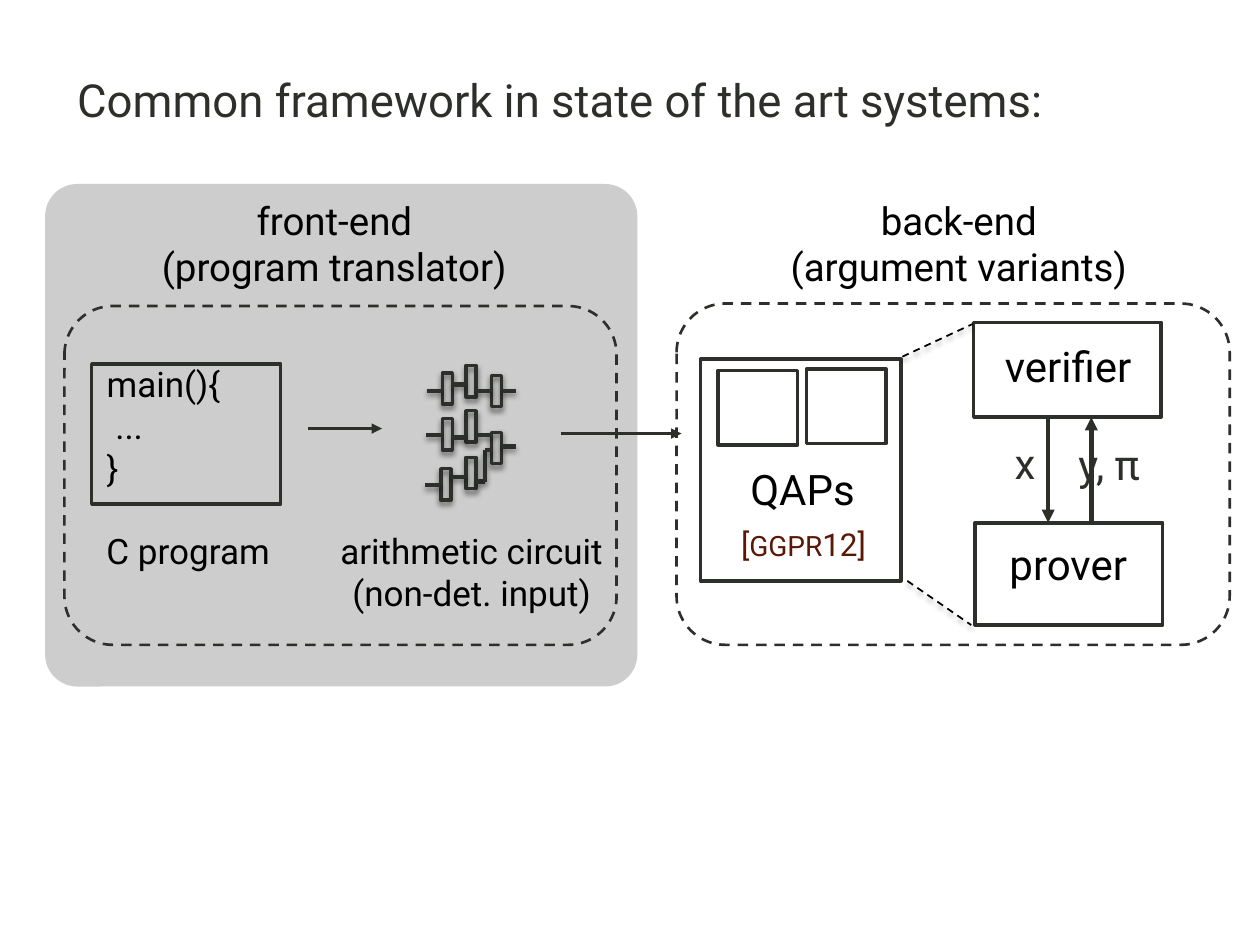
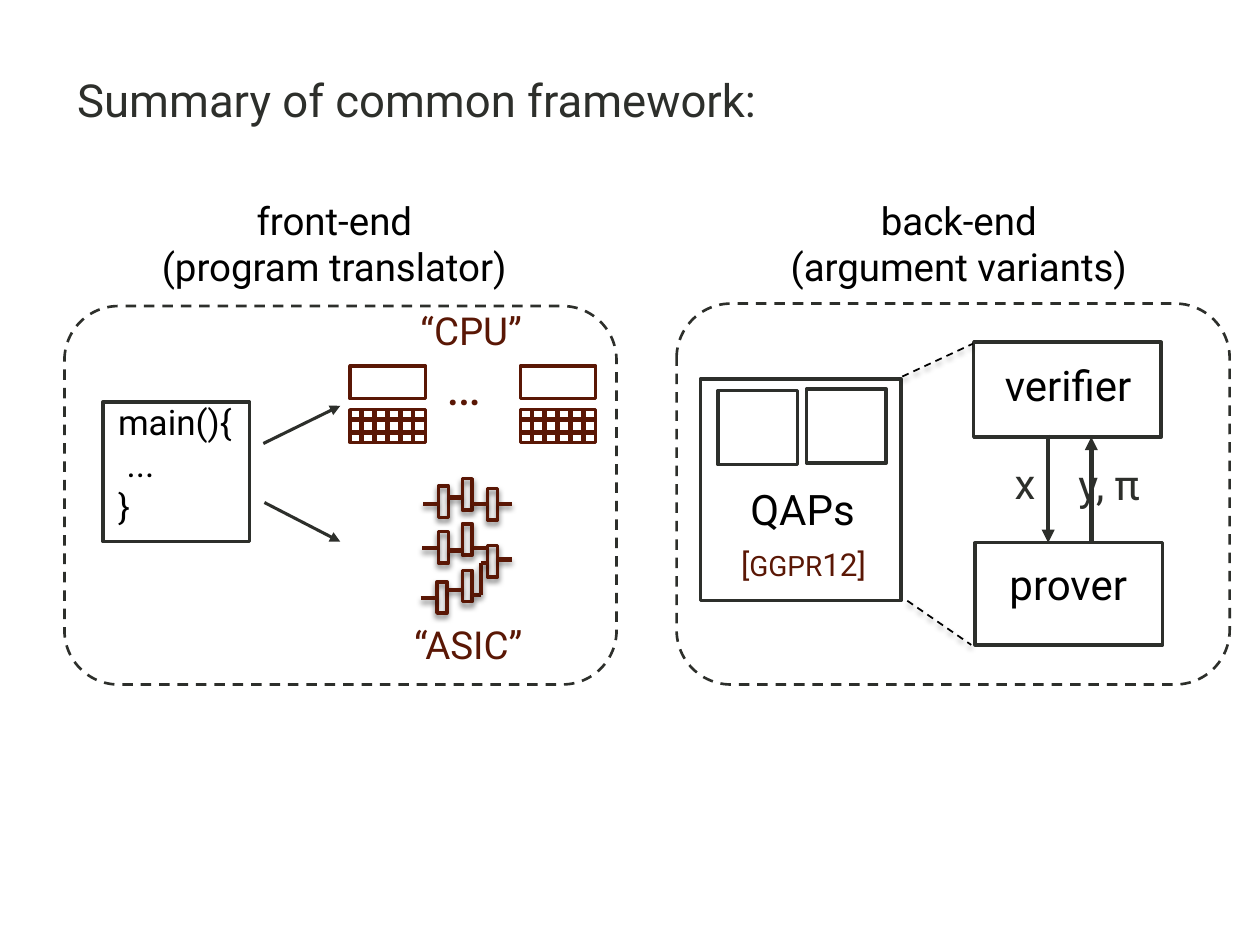
from dataclasses import dataclass

from lxml.etree import SubElement
from pptx import Presentation
from pptx.dml.color import RGBColor
from pptx.enum.dml import MSO_LINE
from pptx.enum.shapes import MSO_CONNECTOR, MSO_SHAPE
from pptx.enum.text import MSO_ANCHOR, MSO_AUTO_SIZE, PP_ALIGN
from pptx.oxml.ns import qn
from pptx.util import Cm, Pt

COLORS = {"ink": "2D2F2B", "black": "000000", "accent": "5A1705"}
FONT = "Roboto"
TITLE_ONLY = 5


@dataclass(frozen=True)
class Box:
    left: float
    top: float
    width: float
    height: float
    color: str = "ink"
    weight: float = 2
    radius: float = 0
    dashed: bool = False
    shadow: int = 0


@dataclass(frozen=True)
class Line:
    x1: float
    y1: float
    x2: float
    y2: float
    color: str = "ink"
    weight: float = 2.5
    dashed: bool = False
    arrow: bool = False
    shadow: int = 0


@dataclass(frozen=True)
class Label:
    text: str
    left: float
    top: float
    width: float
    height: float
    size: float = 24
    color: str = "black"
    align: PP_ALIGN = PP_ALIGN.CENTER


GATES = [(0.36, 0.15), (0.36, 1.07), (0.33, 2.08), (0.84, 0), (0.84, 0.91),
         (0.84, 1.85), (1.35, 0.2), (1.35, 1.35)]
WIRES = [(0.05, 0.51, 0.36, 0.51), (0.03, 1.4, 0.33, 1.4), (0, 2.41, 0.33, 2.41),
         (0.56, 0.38, 0.84, 0.38), (0.56, 1.45, 0.84, 1.45), (0.53, 2.24, 0.84, 2.24),
         (1.04, 0.51, 1.35, 0.51), (1.07, 1.4, 1.35, 1.4), (1.04, 2.34, 1.22, 2.34),
         (1.22, 1.7, 1.22, 2.34), (1.22, 1.7, 1.35, 1.7),
         (1.55, 0.51, 1.85, 0.51), (1.55, 1.63, 1.85, 1.63)]


def rgb(color: str) -> RGBColor:
    return RGBColor.from_string(COLORS[color])


def set_shadow(shape, opacity: int) -> None:
    properties = shape._element.spPr
    effects = properties.find(qn("a:effectLst"))
    if effects is None:
        effects = SubElement(properties, qn("a:effectLst"))
    if opacity:
        outer = SubElement(effects, qn("a:outerShdw"), blurRad=str(Pt(3)),
                           dist=str(Pt(2)), dir="5400000", rotWithShape="0")
        tint = SubElement(outer, qn("a:srgbClr"), val=COLORS["black"])
        SubElement(tint, qn("a:alpha"), val=str(opacity * 1000))


def set_line(shape, style) -> None:
    shape.line.color.rgb = rgb(style.color)
    shape.line.width = Pt(style.weight)
    if style.dashed:
        shape.line.dash_style = MSO_LINE.DASH


def draw_box(shapes, box: Box) -> None:
    preset = MSO_SHAPE.ROUNDED_RECTANGLE if box.radius else MSO_SHAPE.RECTANGLE
    shape = shapes.add_shape(preset, Cm(box.left), Cm(box.top), Cm(box.width), Cm(box.height))
    if box.radius:
        shape.adjustments[0] = box.radius
    shape.fill.background()
    set_line(shape, box)
    shape.shadow.inherit = False
    set_shadow(shape, box.shadow)


def draw_line(shapes, line: Line) -> None:
    connector = shapes.add_connector(MSO_CONNECTOR.STRAIGHT, Cm(line.x1), Cm(line.y1),
                                     Cm(line.x2), Cm(line.y2))
    set_line(connector, line)
    if line.arrow:
        SubElement(connector.line._get_or_add_ln(), qn("a:tailEnd"), type="triangle")
    set_shadow(connector, line.shadow)


def draw_label(shapes, label: Label) -> None:
    frame = shapes.add_textbox(Cm(label.left), Cm(label.top), Cm(label.width),
                               Cm(label.height)).text_frame
    frame.word_wrap = True
    frame.text = label.text
    for paragraph in frame.paragraphs:
        paragraph.alignment = label.align
        paragraph.font.name = FONT
        paragraph.font.size = Pt(label.size)
        paragraph.font.color.rgb = rgb(label.color)


def draw_all(shapes, items: list) -> None:
    draw = {Box: draw_box, Line: draw_line, Label: draw_label}
    for item in items:
        draw[type(item)](shapes, item)


def draw_circuit(slide, left: float, top: float, color: str) -> None:
    circuit = slide.shapes.add_group_shape().shapes
    draw_all(circuit, [Box(left + x, top + y, 0.2, 0.63, color, shadow=50) for x, y in GATES])
    draw_all(circuit, [Line(left + x1, top + y1, left + x2, top + y2, color, shadow=38)
                       for x1, y1, x2, y2 in WIRES])


def draw_memory(slide, left: float, top: float) -> None:
    width, height = 1.52, 0.66
    memory = slide.shapes.add_group_shape().shapes
    draw_box(memory, Box(left, top, width, height, "accent"))
    for column in range(5):
        x = left + 0.23 + 0.26 * column
        draw_line(memory, Line(x, top, x, top + height, "accent"))
    for row in range(2):
        y = top + 0.2 + 0.26 * row
        draw_line(memory, Line(left, y, left + width, y, "accent"))


def draw_program(slide, left: float, top: float, width: float) -> None:
    draw_all(slide.shapes, [
        Box(left, top, width, 2.82),
        Label("main(){\n ...\n}", left + 0.05, top - 0.15, 3.51, 2.82, 20, align=PP_ALIGN.LEFT),
    ])


def draw_citation(slide, top: float) -> None:
    frame = slide.shapes.add_textbox(Cm(14.22), Cm(top), Cm(3.96), Cm(1.02)).text_frame
    frame.word_wrap = True
    citation = frame.paragraphs[0]
    citation.alignment = PP_ALIGN.CENTER
    citation.font.name = FONT
    citation.font.color.rgb = rgb("accent")
    for text, size in (("[", 18), ("ggpr", 20), ("12]", 18)):
        run = citation.add_run()
        run.text = text
        run.font.size = Pt(size)
        if text == "ggpr":
            run.font._element.set("cap", "small")


def draw_back_end(slide, drop: float) -> None:
    draw_all(slide.shapes, [
        Box(19.63, 6.5 + drop, 3.78, 1.91),
        Box(19.66, 10.54 + drop, 3.78, 2.06),
        Line(21.13, 8.36 + drop, 21.13, 10.54 + drop, arrow=True),
        Line(22, 10.52 + drop, 22, 8.41 + drop, arrow=True),
        Label("x", 19.41, 8.69 + drop, 2.51, 1.27, color="ink"),
        Label("y, π", 21.49, 8.71 + drop, 2.72, 1.27, color="ink", align=PP_ALIGN.LEFT),
        Label("verifier", 19.58, 6.73 + drop, 3.91, 1.27),
        Label("prover", 19.58, 10.74 + drop, 3.91, 1.27),
        Box(14.12, 7.24 + drop, 4.04, 4.47),
        Box(14.48, 7.47 + drop, 1.6, 1.5),
        Box(16.26, 7.44 + drop, 1.6, 1.5),
        Label("QAPs", 14.15, 9.22 + drop, 4.06, 1.27),
        Line(18.19, 7.19 + drop, 19.61, 6.53 + drop, "black", 1, dashed=True, shadow=38),
        Line(18.29, 11.71 + drop, 19.58, 12.6 + drop, "black", 1, dashed=True, shadow=38),
    ])
    draw_citation(slide, 10.39 + drop)


def draw_shade(slide) -> None:
    shade = slide.shapes.add_shape(MSO_SHAPE.ROUNDED_RECTANGLE, Cm(0.91), Cm(3.71),
                                   Cm(11.94), Cm(10.13))
    shade.adjustments[0] = 0.064
    shade.fill.solid()
    shade.fill.fore_color.rgb = rgb("ink")
    tint = shade._element.spPr.find(qn("a:solidFill"))[0]
    SubElement(tint, qn("a:alpha"), val="24000")
    shade.line.fill.background()
    shade.shadow.inherit = False


def add_framework_slide(deck, heading: str):
    slide = deck.slides.add_slide(deck.slide_layouts[TITLE_ONLY])
    title = slide.shapes.title
    title.left, title.top, title.width, title.height = Cm(1.3), Cm(1.32), Cm(23.16), Cm(1.37)
    title.text_frame.text = heading
    title.text_frame.auto_size = MSO_AUTO_SIZE.NONE
    title.text_frame.vertical_anchor = MSO_ANCHOR.TOP
    paragraph = title.text_frame.paragraphs[0]
    paragraph.alignment = PP_ALIGN.LEFT
    paragraph.font.name = FONT
    paragraph.font.size = Pt(26)
    paragraph.font.color.rgb = rgb("ink")
    return slide


def draw_framework(slide, frame_height: float, drop: float) -> None:
    draw_all(slide.shapes, [
        Label("front-end\n(program translator)", 1.04, 3.84, 11.4, 2.13, 22),
        Label("back-end\n(argument variants)", 13.69, 3.84, 11.28, 2.13, 22),
        Box(1.3, 6.17, 11.13, frame_height, weight=1.5, radius=0.143, dashed=True),
        Box(13.64, 6.12, 11.15, frame_height + 0.05, weight=1.5, radius=0.143, dashed=True),
    ])
    draw_back_end(slide, drop)


def build_common_framework(deck) -> None:
    slide = add_framework_slide(deck, "Common framework in state of the art systems:")
    draw_shade(slide)
    draw_framework(slide, 6.83, 0)
    draw_program(slide, 1.85, 7.34, 3.81)
    draw_circuit(slide, 8.56, 7.37, "ink")
    draw_all(slide.shapes, [
        Label("C program", 1.8, 10.54, 3.99, 1.96, 20),
        Label("arithmetic circuit\n(non-det. input)", 6.5, 10.54, 6.02, 2.82, 20),
        Line(6.2, 8.64, 7.7, 8.64, weight=1.75, arrow=True),
        Line(11.3, 8.74, 13.74, 8.74, weight=1.75, arrow=True),
    ])


def build_summary(deck) -> None:
    slide = add_framework_slide(deck, "Summary of common framework:")
    draw_framework(slide, 7.63, 0.4)
    draw_program(slide, 2.08, 8.1, 2.95)
    draw_circuit(slide, 8.48, 9.65, "accent")
    for left in (7.06, 10.49):
        draw_box(slide.shapes, Box(left, 7.38, 1.52, 0.66, "accent"))
        draw_memory(slide, left, 8.26)
    draw_all(slide.shapes, [
        Label("…", 8.76, 6.99, 1.52, 1.55, 30, "accent", PP_ALIGN.LEFT),
        Label("“CPU”", 7.06, 6.07, 4.88, 2.03, 22, "accent"),
        Label("“ASIC”", 7.8, 12.4, 3.28, 2.03, 22, "accent"),
        Line(5.31, 8.94, 6.86, 8.18, weight=1.75, arrow=True),
        Line(5.33, 10.13, 6.86, 10.92, weight=1.75, arrow=True),
    ])


def main() -> None:
    deck = Presentation()
    deck.slide_width, deck.slide_height = Cm(25.4), Cm(19.05)
    build_common_framework(deck)
    build_summary(deck)
    deck.save("out.pptx")


if __name__ == "__main__":
    main()
